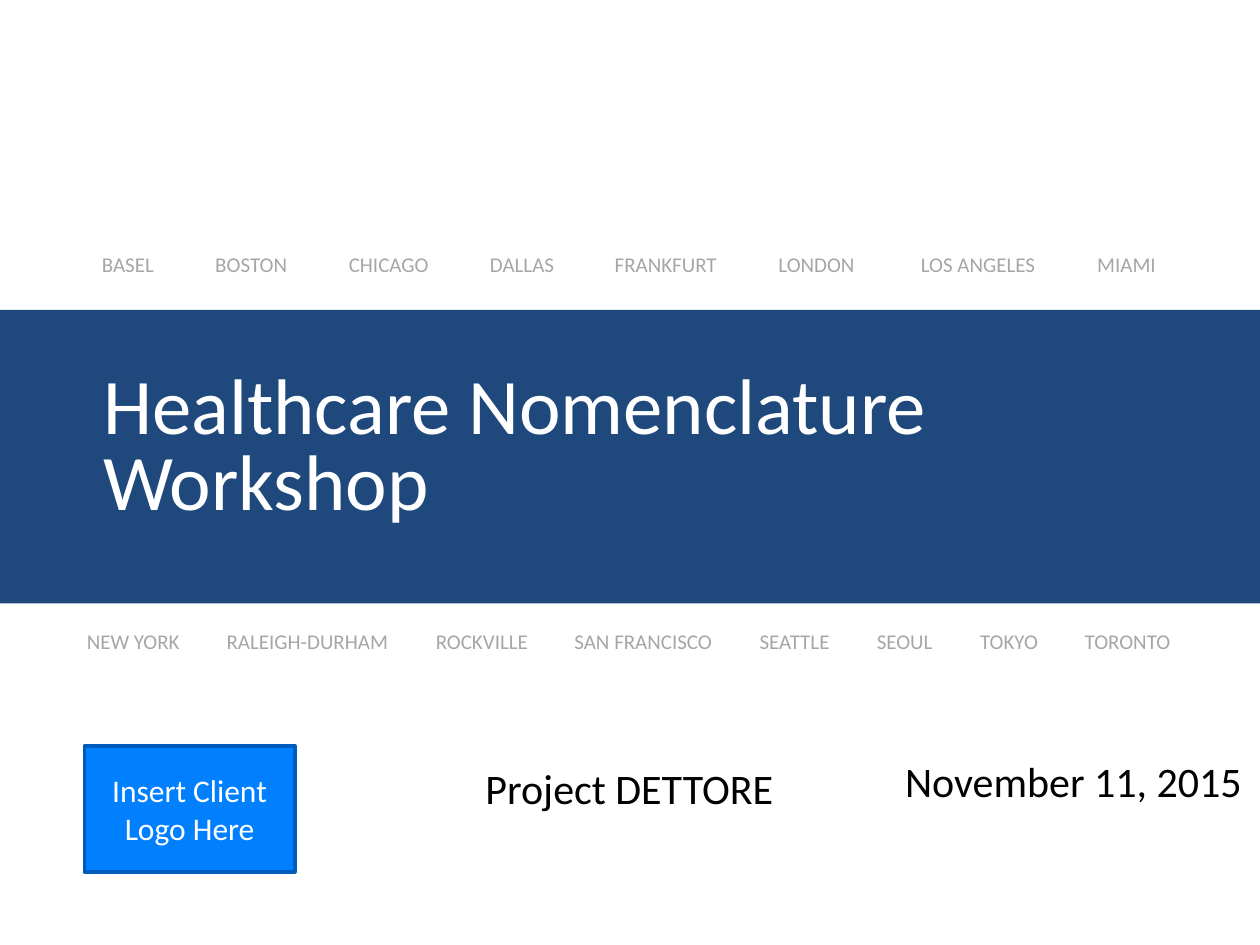
from pptx import Presentation
from pptx.dml.color import RGBColor
from pptx.enum.shapes import MSO_SHAPE
from pptx.enum.text import MSO_ANCHOR, PP_ALIGN
from pptx.oxml.ns import qn
from pptx.util import Inches, Pt
from lxml.etree import SubElement

COLORS = {
    "band": "1F497D",
    "city": "A6A6A6",
    "logo": "0080FF",
    "logo_line": "005CBC",
    "white": "FFFFFF",
    "black": "000000",
}
FONT = "Calibri"
INSET = 0.1
NORTH_CITIES = {
    "BASEL": 0.81, "BOSTON": 1.71, "CHICAGO": 2.77, "DALLAS": 3.89,
    "FRANKFURT": 4.88, "LONDON": 6.18, "LOS ANGELES": 7.31, "MIAMI": 8.71,
}
SOUTH_CITIES = {
    "NEW YORK": 0.69, "RALEIGH-DURHAM": 1.8, "ROCKVILLE": 3.46, "SAN FRANCISCO": 4.56,
    "SEATTLE": 6.03, "SEOUL": 6.96, "TOKYO": 7.78, "TORONTO": 8.61,
}


def color(name):
    return RGBColor.from_string(COLORS[name])


def style(para, size, name, align=PP_ALIGN.LEFT):
    para.alignment = align
    para.font.name = FONT
    para.font.size = Pt(size)
    para.font.color.rgb = color(name)


def add_rectangle(page, bounds, fill, line=None):
    shape = page.shapes.add_shape(MSO_SHAPE.RECTANGLE, *map(Inches, bounds))
    shape.shadow.inherit = False
    shape.fill.solid()
    shape.fill.fore_color.rgb = color(fill)
    if line:
        shape.line.color.rgb = color(line)
        shape.line.width = Pt(2)
    else:
        shape.line.fill.background()
    return shape


def add_text(page, bounds, text, size, name, align=PP_ALIGN.LEFT, wrap=True):
    box = page.shapes.add_textbox(*map(Inches, bounds))
    box.text_frame.word_wrap = wrap
    para = box.text_frame.paragraphs[0]
    para.text = text
    style(para, size, name, align)
    return para


def add_title_band(page, bounds):
    left, top, width, height = bounds
    add_rectangle(page, bounds, "band")
    title_bounds = (left + 0.72, top + 0.46, width - 1.5, height - 0.98)
    para = add_text(page, title_bounds, "Healthcare Nomenclature Workshop", 45, "white")
    para.line_spacing = 0.8


def add_city_row(page, top, cities):
    start, *stops = cities.values()
    left = start - INSET
    para = add_text(page, (left, top, 10 - 2 * left, 0.3), "\t".join(cities), 12, "city")
    properties = para._p.get_or_add_pPr()
    tabs = SubElement(properties, qn("a:tabLst"))
    properties.insert(0, tabs)
    for stop in stops:
        SubElement(tabs, qn("a:tab"), pos=str(Inches(stop - start)), algn="l")


def add_client_logo(page, bounds):
    frame = add_rectangle(page, bounds, "logo", "logo_line").text_frame
    frame.word_wrap = True
    frame.vertical_anchor = MSO_ANCHOR.MIDDLE
    frame.text = "Insert Client\nLogo Here"
    for para in frame.paragraphs:
        style(para, 18, "white", PP_ALIGN.CENTER)


def add_label(page, bounds, text):
    add_text(page, bounds, text, 24, "black", PP_ALIGN.CENTER, wrap=False)


def main():
    deck = Presentation()
    deck.slide_width, deck.slide_height = Inches(10), Inches(7.5)
    page = deck.slides.add_slide(deck.slide_layouts[6])
    add_title_band(page, (0, 2.46, 10, 2.33))
    add_city_row(page, 1.95, NORTH_CITIES)
    add_city_row(page, 4.94, SOUTH_CITIES)
    add_client_logo(page, (0.67, 5.92, 1.67, 1))
    add_label(page, (3.75, 6, 2.49, 0.5), "Project DETTORE")
    add_label(page, (7.08, 5.95, 2.88, 0.5), "November 11, 2015")
    deck.save("out.pptx")


if __name__ == "__main__":
    main()
